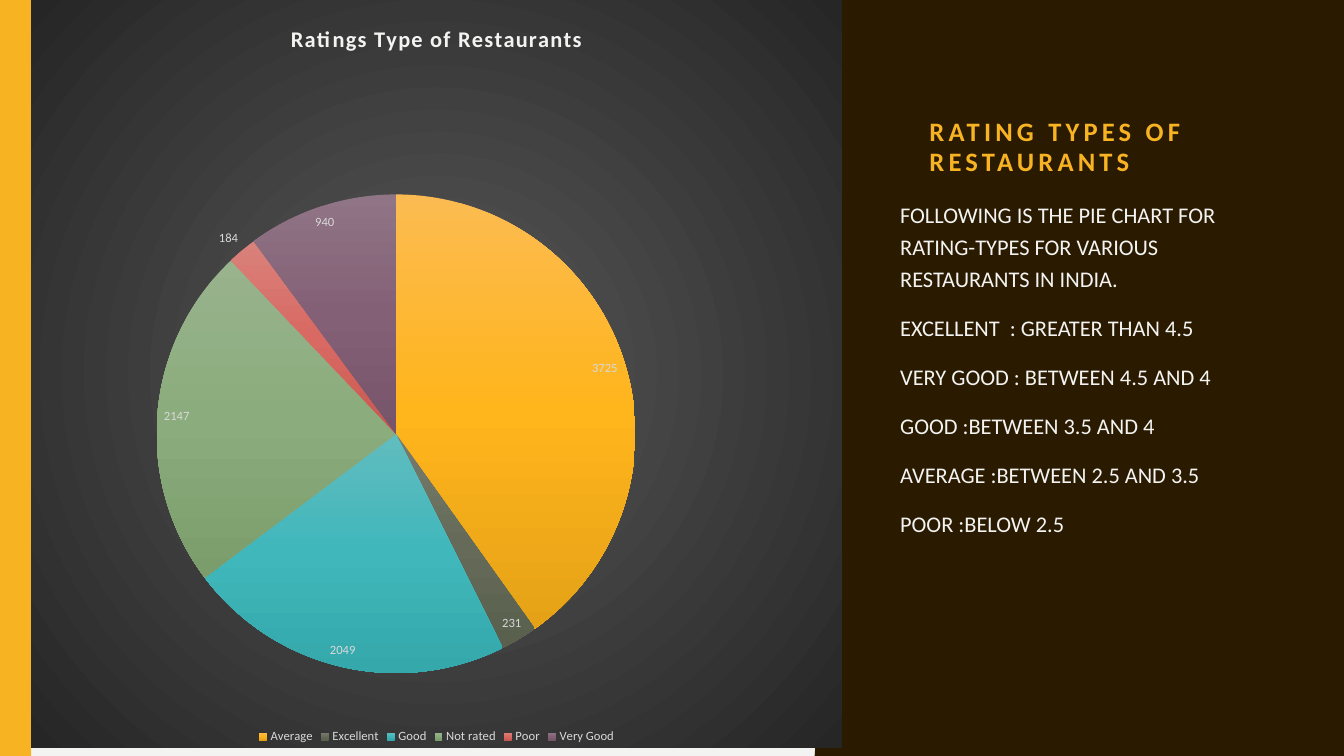
from math import cos, pi

from lxml import etree
from pptx import Presentation
from pptx.chart.data import CategoryChartData
from pptx.dml.color import RGBColor
from pptx.enum.chart import XL_CHART_TYPE, XL_LABEL_POSITION, XL_LEGEND_POSITION
from pptx.enum.shapes import MSO_SHAPE
from pptx.enum.text import MSO_ANCHOR
from pptx.oxml import parse_xml
from pptx.oxml.ns import nsdecls, qn
from pptx.util import Inches, Pt

FONT = "Calibri"
PAPER = RGBColor(0xF3, 0xF3, 0xF2)
BROWN = RGBColor(0x2A, 0x1A, 0x00)
AMBER = RGBColor(0xF8, 0xB3, 0x23)
LABEL_GREY = RGBColor(0xD9, 0xD9, 0xD9)
BACKDROP = [RGBColor(0x59, 0x59, 0x59), RGBColor(0x26, 0x26, 0x26)]
RADIAL = ('<a:path path="circle"><a:fillToRect l="50000" t="50000" '
          'r="50000" b="50000"/></a:path>')
DOWNWARD = '<a:lin ang="5400000" scaled="0"/>'

RATINGS = [
    ("Average", 3725, ("FCBB51", "FFB51C", "E5A217")),
    ("Excellent", 231, ("787C6F", "656B58", "5A604E")),
    ("Good", 2049, ("61BCBF", "40B7BB", "34A8AB")),
    ("Not rated", 2147, ("99B38D", "8BAC7C", "7B9C6B")),
    ("Poor", 184, ("D9817B", "D86A63", "C75951")),
    ("Very Good", 940, ("907586", "846076", "76546A")),
]
EXPLANATION = [
    "FOLLOWING IS THE PIE CHART FOR RATING-TYPES FOR VARIOUS RESTAURANTS IN INDIA.",
    "EXCELLENT  : GREATER THAN 4.5",
    "VERY GOOD : BETWEEN 4.5 AND 4",
    "GOOD :BETWEEN 3.5 AND 4",
    "AVERAGE :BETWEEN 2.5 AND 3.5",
    "POOR :BELOW 2.5",
]


def gradient(colors, direction):
    step = 100000 // (len(colors) - 1)
    stops = "".join(
        f'<a:gs pos="{step * index}"><a:srgbClr val="{color}"/></a:gs>'
        for index, color in enumerate(colors))
    return parse_xml(f'<a:gradFill {nsdecls("a")} rotWithShape="1">'
                     f'<a:gsLst>{stops}</a:gsLst>{direction}</a:gradFill>')


def style_font(font, size, color, bold=False):
    font.name = FONT
    font.size = Pt(size)
    font.bold = bold
    font.color.rgb = color


deck = Presentation()
deck.slide_width = Inches(13.33)
deck.slide_height = Inches(7.5)
page = deck.slides.add_slide(deck.slide_layouts[6])
page.background.fill.solid()
page.background.fill.fore_color.rgb = PAPER

WAVE_STEPS = 100
wave = []
for step in range(WAVE_STEPS, -1, -1):
    y = 7.5 * step / WAVE_STEPS
    wave.append((Inches(8.18 - 0.1 * cos(2 * pi * y / 1.5)), Inches(y)))
builder = page.shapes.build_freeform(Inches(8.08), 0)
builder.add_line_segments(
    [(Inches(13.33), 0), (Inches(13.33), Inches(7.5))] + wave, close=True)
panel = builder.convert_to_shape()
stripe = page.shapes.add_shape(MSO_SHAPE.RECTANGLE, 0, 0, Inches(0.31), Inches(7.5))
for shape, color in ((panel, BROWN), (stripe, AMBER)):
    shape.shadow.inherit = False
    shape.fill.solid()
    shape.fill.fore_color.rgb = color
    shape.line.fill.background()

title_box = page.shapes.add_textbox(Inches(9.12), Inches(0.5), Inches(3.38), Inches(1.31))
title_box.text_frame.word_wrap = True
title_box.text_frame.vertical_anchor = MSO_ANCHOR.BOTTOM
para = title_box.text_frame.paragraphs[0]
para.line_spacing = 0.95
span = para.add_run()
span.text = "RATING TYPES OF RESTAURANTS"
style_font(span.font, 19, AMBER, bold=True)
span.font._element.set("spc", "300")

body_box = page.shapes.add_textbox(Inches(8.83), Inches(1.89), Inches(3.67), Inches(4.55))
body_box.text_frame.word_wrap = True
for index, sentence in enumerate(EXPLANATION):
    if index == 0:
        para = body_box.text_frame.paragraphs[0]
    else:
        para = body_box.text_frame.add_paragraph()
        para.space_before = Pt(12)
    para.line_spacing = 1.2
    span = para.add_run()
    span.text = sentence
    style_font(span.font, 16, PAPER)

chart_data = CategoryChartData()
chart_data.categories = [name for name, count, colors in RATINGS]
chart_data.add_series("Series 1", [count for name, count, colors in RATINGS])
chart = page.shapes.add_chart(
    XL_CHART_TYPE.PIE, Inches(0.31), 0, Inches(8.04), Inches(7.42), chart_data).chart
style_font(chart.font, 10, LABEL_GREY)

chart.has_title = True
chart.chart_title.include_in_layout = False
span = chart.chart_title.text_frame.paragraphs[0].add_run()
span.text = "Ratings Type of Restaurants"
style_font(span.font, 16, PAPER, bold=True)
span.font._element.set("spc", "100")

chart.has_legend = True
chart.legend.position = XL_LEGEND_POSITION.BOTTOM
chart.legend.include_in_layout = False
style_font(chart.legend.font, 9, LABEL_GREY)

pie = chart.plots[0]
pie.vary_by_categories = True
pie_series = pie.series[0]
for index, (name, count, colors) in enumerate(RATINGS):
    point = pie_series._element.get_or_add_dPt_for_point(index)
    point.get_or_add_spPr().append(gradient(colors, DOWNWARD))
labels = pie_series.data_labels
labels.show_value = True
labels.show_percentage = False
labels.position = XL_LABEL_POSITION.BEST_FIT
style_font(labels.font, 9, LABEL_GREY)

chart_space = chart._chartSpace
backdrop = parse_xml(f'<c:spPr {nsdecls("c", "a")}><a:ln><a:noFill/></a:ln></c:spPr>')
backdrop.insert(0, gradient(BACKDROP, RADIAL))
chart_space.find(qn("c:txPr")).addprevious(backdrop)

plot_area = chart_space.find(qn("c:chart")).find(qn("c:plotArea"))
for layout in plot_area.findall(qn("c:layout")):
    plot_area.remove(layout)
layout = etree.Element(qn("c:layout"))
manual = etree.SubElement(layout, qn("c:manualLayout"))
for tag, value in (("layoutTarget", "inner"), ("xMode", "edge"), ("yMode", "edge"),
                   ("x", "0.08"), ("y", "0.26"), ("w", "0.74"), ("h", "0.64")):
    etree.SubElement(manual, qn(f"c:{tag}")).set("val", value)
plot_area.insert(0, layout)

deck.save("out.pptx")
